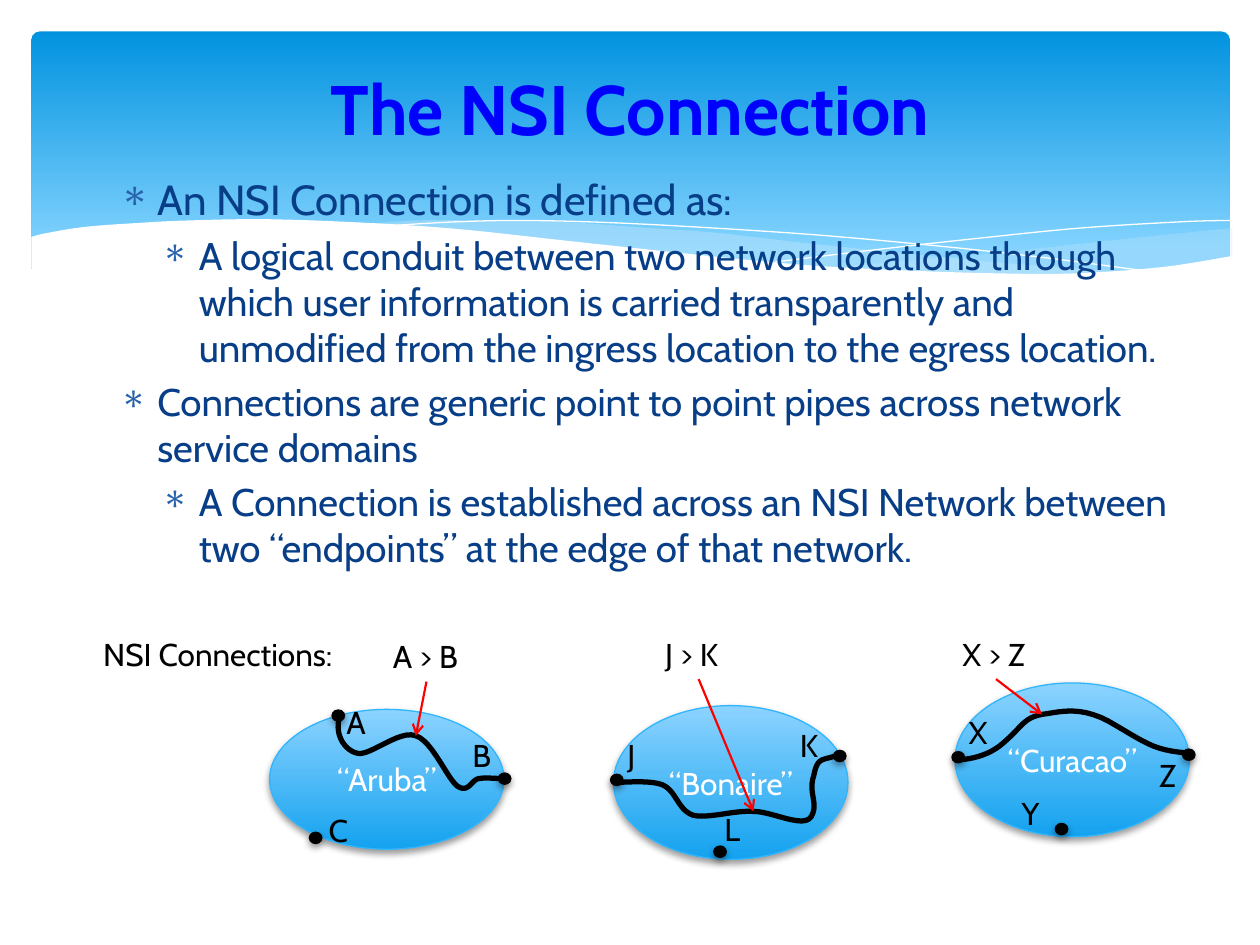
from dataclasses import dataclass
from itertools import chain

from lxml import etree
from pptx import Presentation
from pptx.dml.color import RGBColor
from pptx.enum import shapes, text
from pptx.oxml import ns
from pptx.util import Inches, Pt

CELL = Inches(0.1)


@dataclass(frozen=True)
class Theme:
    """Colours, font and type sizes."""
    font: str = "Cabin"
    title: str = "0000FF"
    body: str = "073E87"
    bullet: str = "2862AA"
    ink: str = "000000"
    paper: str = "FFFFFF"
    wave: str = "C6E7FC"
    rim: str = "31B6FD"
    arrow: str = "FF0000"
    banner: tuple = ((0, "0293E0"), (0.9, "83D3FE"))
    cloud: tuple = ((0, "8CD3FF"), (1, "14A2EF"))
    title_size: int = 40
    lead_size: int = 24
    body_size: int = 22
    label_size: int = 18


THEME = Theme()
BULLETS = (
    ("An NSI Connection is defined as:", THEME.lead_size, 0.3),
    ("A logical conduit between two network locations through which user information is "
     "carried transparently and unmodified from the ingress location to the egress location.",
     THEME.body_size, 0.63),
    ("Connections are generic point to point pipes across network service domains",
     THEME.body_size, 0.3),
    ("A Connection is established across an NSI Network between two “endpoints” at the "
     "edge of that network.", THEME.body_size, 0.63),
)
RIGHT_WAVE = (
    ((95.3, 15.6), (88.3, 16.3), (83.7, 16.8), (75.5, 17.7), (70.6, 18.1), (63.8, 18.7)),
    ((63.8, 18.7), (70.8, 19.1), (76.9, 19.3), (83.1, 19.2), (88.2, 18.9), (95.3, 17.9)),
)
MIDDLE_WAVE = (
    ((26.3, 15.3), (30.5, 15), (35.6, 15), (41.8, 15.1), (49.1, 15.6), (54.6, 16),
     (60.6, 16.7), (68.3, 17.5), (75.2, 18.2), (81.4, 18.7), (86.9, 19.1)),
    ((86.9, 19.1), (81.5, 19.3), (75, 19.3), (67.1, 18.9), (59.5, 18.4), (50.6, 17.6),
     (42.6, 16.7), (36, 16), (30, 15.5), (26.3, 15.3)),
)
FALLING_LINE = ((28.6, 15.4), (33.9, 15.1), (39.3, 15), (46.6, 15.2), (55.8, 15.7),
                (64.2, 16.3), (73.7, 17.2), (80.8, 18), (88.4, 19))
RISING_LINE = ((59, 18.3), (67.2, 17.3), (75.3, 16.4), (83.3, 15.6), (91.4, 15.1), (95.2, 15))
PAPER_EDGE = (
    ((95.4, 17.8), (89.7, 18.7), (82.7, 19.2), (77, 19.2), (70.3, 19), (62.4, 18.6),
     (55.6, 18), (48, 17.2), (42.4, 16.6), (34.1, 15.7), (26.9, 15.2), (18.8, 14.9),
     (12.3, 15), (8.4, 15.2), (4.3, 15.5), (1.2, 16), (0, 16.3)),
    ((0, 21.7), (95.4, 21.7)),
)
DOMAINS = (
    dict(box=(48.7, 56, 18.6, 12.2), name="“Bonaire”", route="J > K", route_at=(3.1, -6.1),
         target=(11.1, 8.4), dots=((-0.3, 5.4), (17.4, 3.5), (7.9, 11.1)),
         labels=(("J", 0.1, 1.9, 3.1), ("K", 13.8, 1.1, 3.4), ("L", 7.8, 7.8, 3.3)),
         rope=((17.9, 3.9), (16.6, 4.4), (16.2, 4), (15.9, 5.5), (15.4, 7), (16.3, 7.7),
               (15.7, 8.8), (15.1, 9.8), (12.6, 8.4), (11.1, 8.4), (9.5, 8.3), (7.5, 9),
               (6.3, 8.7), (5.1, 8.3), (5, 6.8), (3.9, 6.3), (2.9, 5.9), (0.9, 6.1), (0.1, 6.1))),
    dict(box=(21.4, 56.3, 18.6, 11.1), name="“Aruba”", route="A > B", route_at=(8.8, -6.2),
         target=(11.6, 2.1), dots=((4.9, 0), (18.1, 5), (3.1, 9.7)),
         labels=(("A", 5.1, -1, 3.5), ("B", 15.1, 1.6, 3.4), ("C", 3.7, 7.6, 3.5)),
         rope=((5.5, 0.8), (5.2, 2.1), (6, 3.3), (7, 3.5), (8, 3.7), (10.3, 1.6), (11.6, 2.1),
               (12.9, 2.5), (14.1, 5.5), (14.9, 6.1), (15.8, 6.7), (16, 5.6), (16.6, 5.5),
               (17.2, 5.4), (17.9, 5.5), (18.5, 5.5))),
    dict(box=(75.8, 54.2, 18.6, 12.2), name="“Curacao”", route="X > Z", route_at=(-0.4, -4.3),
         target=(6.9, 2.5), dots=((-0.3, 5.4), (18, 5.2), (7.9, 11.1)),
         labels=(("X", 0.1, 1.9, 3.3), ("Z", 15.2, 5.3, 3.2), ("Y", 4.3, 8.3, 3.6)),
         rope=((18.9, 5.6), (16, 5.4), (15.5, 5), (12.8, 3.4), (10.1, 1.7), (8.4, 2.3),
               (6.9, 2.5), (5.4, 2.8), (5.4, 3.4), (3.9, 4.7), (2.6, 5.9), (0.9, 6.1), (0.1, 6.1))),
)


def cells(*values):
    """Turn grid cells into whole lengths."""
    return [round(value * CELL) for value in values]


def colour(code):
    """Read a hex colour."""
    return RGBColor.from_string(code)


def node(parent, tag, **values):
    """Append a drawing element with its attributes."""
    child = etree.SubElement(parent, ns.qn(tag))
    for key, value in values.items():
        child.set(key, str(value))
    return child


def shade(shape, stops):
    """Fill with a gradient that runs downwards."""
    shape.fill.gradient()
    shape.fill.gradient_angle = 270
    for stop, (position, code) in zip(shape.fill.gradient_stops, stops):
        stop.position = position
        stop.color.rgb = colour(code)


def drop_shadow(shape):
    """Cast a soft shadow below the shape."""
    effects = node(shape.element.spPr, "a:effectLst")
    shadow = node(effects, "a:outerShdw", blurRad=Pt(4), dist=Pt(2), dir=5400000, rotWithShape=0)
    node(node(shadow, "a:srgbClr", val=THEME.ink), "a:alpha", val=38000)


def write(para, words, size, code, **formats):
    """Write one formatted span."""
    span = para.add_run()
    span.text = words
    for key, value in dict(name=THEME.font, size=Pt(size), **formats).items():
        setattr(span.font, key, value)
    span.font.color.rgb = colour(code)


def add_label(page, words, left, top, width, wrap=True):
    """Place a short label."""
    box = page.shapes.add_textbox(*cells(left, top, width, 4))
    box.text_frame.word_wrap = wrap
    write(box.text_frame.paragraphs[0], words, THEME.label_size, THEME.ink)
    return box


def bezier(points):
    """Sample a chain of cubic segments."""
    result = [points[0]]
    for first in range(0, len(points) - 1, 3):
        segment = points[first:first + 4]
        for step in range(1, 13):
            t = step / 12
            weights = ((1 - t) ** 3, 3 * t * (1 - t) ** 2, 3 * t * t * (1 - t), t ** 3)
            result.append(tuple(sum(w * p[axis] for w, p in zip(weights, segment))
                                for axis in (0, 1)))
    return result


def smooth(points):
    """Run a soft curve through points, leaving a single segment straight."""
    if len(points) == 2:
        return list(points)
    ends = (points[0], *points, points[-1])
    controls = [points[0]]
    for before, start, stop, after in zip(ends, ends[1:], ends[2:], ends[3:]):
        controls += [tuple(s + (e - b) / 6 for b, s, e in zip(before, start, stop)),
                     tuple(e - (a - s) / 6 for s, e, a in zip(start, stop, after)), stop]
    return bezier(controls)


def outline(page, box, points, close=False):
    """Draw a path relative to the box."""
    spots = [cells(box[0] + x, box[1] + y) for x, y in points]
    builder = page.shapes.build_freeform(*spots[0])
    builder.add_line_segments(spots[1:], close=close)
    shape = builder.convert_to_shape()
    shape.shadow.inherit = False
    return shape


def stroke(page, box, points, code, width):
    """Draw an open path."""
    shape = outline(page, box, points)
    shape.fill.background()
    shape.line.color.rgb = colour(code)
    shape.line.width = Pt(width)


def area(page, box, edges, code, opacity=100):
    """Fill the area between smooth edges."""
    shape = outline(page, box, list(chain.from_iterable(map(smooth, edges))), True)
    shape.fill.solid()
    shape.fill.fore_color.rgb = colour(code)
    shape.line.fill.background()
    tint = shape.element.spPr.find(ns.qn("a:solidFill"))[0]
    node(tint, "a:alpha", val=opacity * 1000)


def add_banner(page, box):
    """Draw the shaded banner and its waves."""
    panel = page.shapes.add_shape(shapes.MSO_SHAPE.ROUNDED_RECTANGLE, *cells(*box))
    panel.adjustments[0] = 0.034
    panel.shadow.inherit = False
    panel.line.fill.background()
    shade(panel, THEME.banner)
    area(page, box, RIGHT_WAVE, THEME.wave, 29)
    area(page, box, MIDDLE_WAVE, THEME.wave, 40)
    for points in (FALLING_LINE, RISING_LINE):
        stroke(page, box, smooth(points), THEME.paper, 0)
    area(page, box, PAPER_EDGE, THEME.paper)


def add_title(page, box):
    """Write the slide title."""
    frame = page.shapes.add_textbox(*cells(*box)).text_frame
    frame.word_wrap = True
    frame.vertical_anchor = text.MSO_ANCHOR.MIDDLE
    para = frame.paragraphs[0]
    para.alignment = text.PP_ALIGN.CENTER
    write(para, "The NSI Connection", THEME.title_size, THEME.title, bold=True)


def add_bullets(page, box):
    """Write the bulleted definition."""
    frame = page.shapes.add_textbox(*cells(*box)).text_frame
    frame.word_wrap = True
    for index, (words, size, indent) in enumerate(BULLETS):
        para = frame.add_paragraph() if index else frame.paragraphs[0]
        para.space_before = Pt(size * 0.2)
        write(para, words, size, THEME.body)
        layout = para._p.get_or_add_pPr()
        layout.set("marL", str(Inches(indent)))
        layout.set("indent", str(-Inches(0.3)))
        node(node(layout, "a:buClr"), "a:srgbClr", val=THEME.bullet)
        node(layout, "a:buChar", char="∗")


def add_domain(page, box, name, route, route_at, target, dots, labels, rope):
    """Draw a network domain with its endpoints and connection."""
    left, top = box[:2]
    cloud = page.shapes.add_shape(shapes.MSO_SHAPE.OVAL, *cells(*box))
    shade(cloud, THEME.cloud)
    cloud.line.color.rgb = colour(THEME.rim)
    cloud.line.width = Pt(0.75)
    drop_shadow(cloud)
    cloud.text_frame.vertical_anchor = text.MSO_ANCHOR.MIDDLE
    para = cloud.text_frame.paragraphs[0]
    para.alignment = text.PP_ALIGN.CENTER
    write(para, name, THEME.label_size, THEME.paper)
    for x, y in dots:
        dot = page.shapes.add_shape(shapes.MSO_SHAPE.OVAL, *cells(left + x, top + y, 1.1, 1))
        dot.fill.solid()
        dot.fill.fore_color.rgb = colour(THEME.ink)
        dot.line.fill.background()
        drop_shadow(dot)
    for words, x, y, width in labels:
        add_label(page, words, left + x, top + y, width, wrap=False)
    stroke(page, box, bezier(rope), THEME.ink, 3)
    caption = add_label(page, route, left + route_at[0], top + route_at[1], 7.3)
    end = cells(left + target[0], top + target[1])
    arrow = page.shapes.add_connector(shapes.MSO_CONNECTOR.STRAIGHT, 0, 0, *end)
    arrow.begin_connect(caption, 2)
    arrow.line.color.rgb = colour(THEME.arrow)
    arrow.line.width = Pt(1.25)
    node(arrow.line._get_or_add_ln(), "a:tailEnd", type="arrow")
    node(arrow.element.spPr, "a:effectLst")


def main():
    """Build and save the deck."""
    deck = Presentation()
    deck.slide_width, deck.slide_height = cells(100, 75)
    page = deck.slides.add_slide(deck.slide_layouts[6])
    add_banner(page, (2.5, 2.5, 95.1, 19.3))
    add_bullets(page, (8.5, 13.3, 86.5, 36.6))
    add_title(page, (5, 3.7, 90, 9.6))
    add_label(page, "NSI Connections:", 7.2, 49.9, 21.3)
    for domain in DOMAINS:
        add_domain(page, **domain)
    deck.save("out.pptx")


if __name__ == "__main__":
    main()
